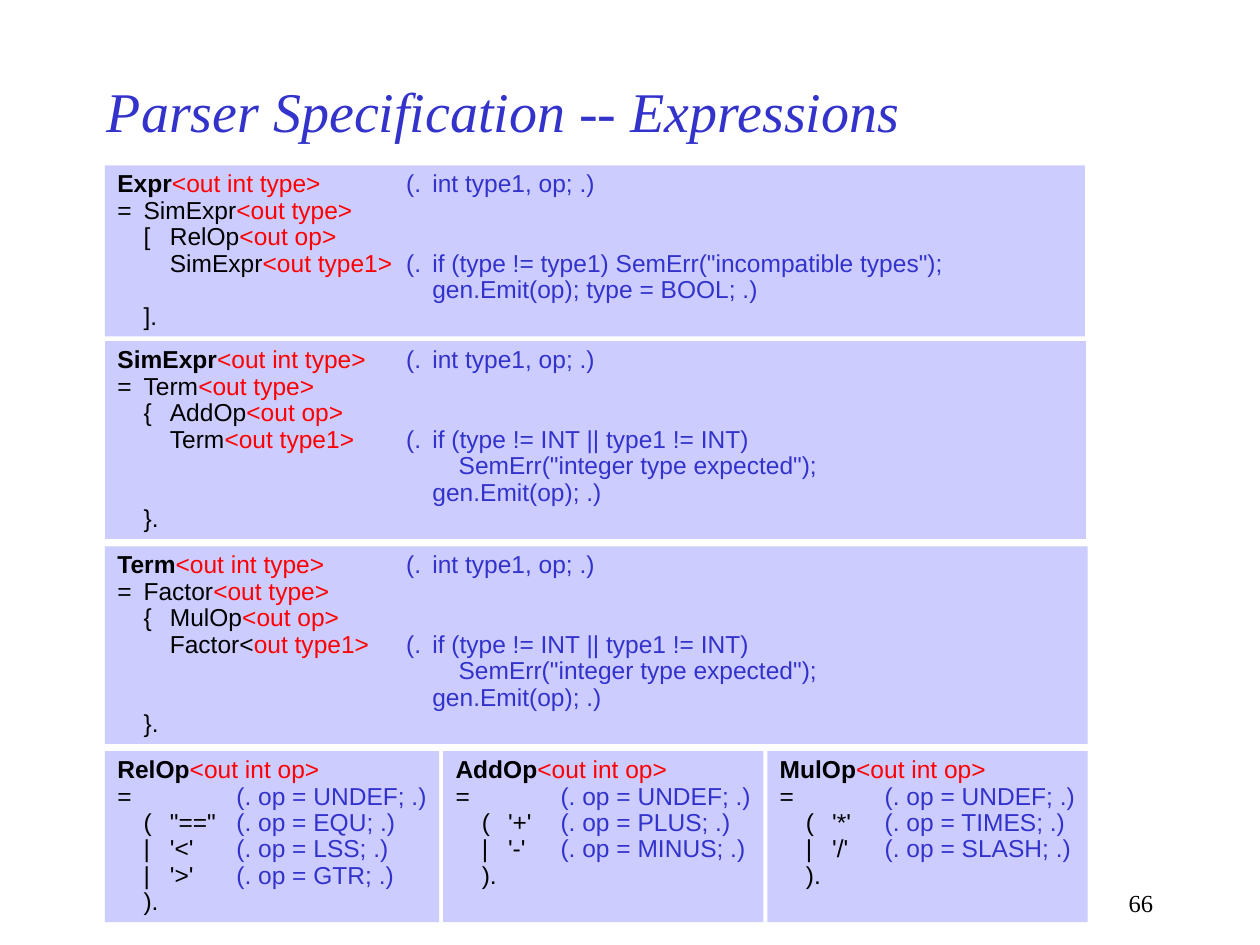
from lxml import etree
from pptx import Presentation
from pptx.dml.color import RGBColor
from pptx.enum.shapes import MSO_SHAPE as Shape
from pptx.enum.text import MSO_ANCHOR as Anchor, PP_ALIGN as Align
from pptx.oxml.ns import qn
from pptx.util import Pt

BLACK = RGBColor(0x00, 0x00, 0x00)
RED = RGBColor(0xFF, 0x00, 0x00)
BLUE = RGBColor(0x33, 0x33, 0xCC)
LAVENDER = RGBColor(0xCC, 0xCC, 0xFF)
COLUMN_COLORS = (BLACK, RED, BLUE)

TITLE = "Parser Specification -- Expressions"
PAGE_NUMBER = "66"

# Each line is (grammar symbols, attributes, semantic action).
DECLARATION = "(.\tint type1, op; .)"
INT_CHECK = "(.\tif (type != INT || type1 != INT)"
INT_CHECK_END = [
    ("", "", "\t\t\t\t\tSemErr(\"integer type expected\");"),
    ("", "", "\t\t\t\tgen.Emit(op); .)"),
    ("\t}.", "", ""),
]
EXPR = [
    ("Expr", "<out int type>\t", DECLARATION),
    ("=\tSimExpr", "<out type>", ""),
    ("\t[\tRelOp", "<out op>", ""),
    ("\t\tSimExpr", "<out type1>\t",
     "(.\tif (type != type1) SemErr(\"incompatible types\");"),
    ("", "", "\t\t\t\tgen.Emit(op); type = BOOL; .)"),
    ("\t].", "", ""),
]
SIM_EXPR = [
    ("SimExpr", "<out int type>\t", DECLARATION),
    ("=\tTerm", "<out type>", ""),
    ("\t{\tAddOp", "<out op>", ""),
    ("\t\tTerm", "<out type1>\t", INT_CHECK),
] + INT_CHECK_END
TERM = [
    ("Term", "<out int type>\t", DECLARATION),
    ("=\tFactor", "<out type>", ""),
    ("\t{\tMulOp", "<out op>", ""),
    ("\t\tFactor<", "out type1>\t", INT_CHECK),
] + INT_CHECK_END

# (top, width, lines)
RULES = [(94.5, 560, EXPR), (195, 560.5, SIM_EXPR), (312.25, 561.5, TERM)]
RULE_TABS = (15, 30, 165, 180, 195)

# (name, width, action tab, [(token, code), ...])
OPERATORS = [
    ("RelOp", 191, 68, [("\"==\"", "EQU"), ("'<'", "LSS"), ("'>'", "GTR")]),
    ("AddOp", 183, 60, [("'+'", "PLUS"), ("'-'", "MINUS")]),
    ("MulOp", 183, 60, [("'*'", "TIMES"), ("'/'", "SLASH")]),
]
LEFT = 60
OPERATOR_TOP = 429.25
OPERATOR_GAP = 2.25
LINE_HEIGHT = 15.1
PADDING = 7.2


def operator_lines(name, choices):
    lines = [(name, "<out int op>", ""), ("=\t\t\t", "", "(. op = UNDEF; .)")]
    for index, (token, code) in enumerate(choices):
        mark = "|" if index else "("
        lines.append((f"\t{mark}\t{token}\t", "", f"(. op = {code}; .)"))
    return lines + [("\t).", "", "")]


def panel_height(line_count):
    return PADDING + line_count * LINE_HEIGHT


def add_tabs(paragraph, positions):
    tab_list = etree.SubElement(paragraph._p.get_or_add_pPr(), qn("a:tabLst"))
    for position in positions:
        etree.SubElement(tab_list, qn("a:tab"), pos=str(Pt(position)), algn="l")


def add_text(paragraph, text, *, size=14, font="Arial", color=BLACK,
             bold=False, italic=False):
    run = paragraph.add_run()
    run.text = text
    run.font.size = Pt(size)
    run.font.name = font
    run.font.color.rgb = color
    run.font.bold = bold
    run.font.italic = italic


def add_panel(slide, left, top, width, height, lines, tabs, wrap=True):
    panel = slide.shapes.add_shape(
        Shape.RECTANGLE, Pt(left), Pt(top), Pt(width), Pt(height))
    panel.shadow.inherit = False
    panel.fill.solid()
    panel.fill.fore_color.rgb = LAVENDER
    panel.line.fill.background()
    frame = panel.text_frame
    frame.word_wrap = wrap
    frame.vertical_anchor = Anchor.TOP
    for index, line in enumerate(lines):
        paragraph = frame.add_paragraph() if index else frame.paragraphs[0]
        paragraph.alignment = Align.LEFT
        paragraph.line_spacing = 0.9
        add_tabs(paragraph, tabs)
        for column, (text, color) in enumerate(zip(line, COLUMN_COLORS)):
            if text:
                add_text(paragraph, text, color=color,
                         bold=index == 0 and column == 0)


def add_label(slide, left, top, width, height, text, align=Align.LEFT,
              anchor=Anchor.TOP, **style):
    box = slide.shapes.add_textbox(Pt(left), Pt(top), Pt(width), Pt(height))
    box.text_frame.word_wrap = True
    box.text_frame.vertical_anchor = anchor
    paragraph = box.text_frame.paragraphs[0]
    paragraph.alignment = align
    add_text(paragraph, text, font="Times New Roman", **style)


def main():
    presentation = Presentation()
    presentation.slide_width = Pt(720)
    presentation.slide_height = Pt(540)
    slide = presentation.slides.add_slide(presentation.slide_layouts[6])

    add_label(slide, 54, 36, 540, 54, TITLE, anchor=Anchor.MIDDLE,
              size=32, color=BLUE, italic=True)

    for top, width, lines in RULES:
        add_panel(slide, LEFT, top, width, panel_height(len(lines)), lines, RULE_TABS)

    panels = [operator_lines(name, choices) for name, _, _, choices in OPERATORS]
    height = panel_height(max(len(lines) for lines in panels))
    left = LEFT
    for (_, width, action_tab, _), lines in zip(OPERATORS, panels):
        add_panel(slide, left, OPERATOR_TOP, width, height, lines,
                  (15, 30, action_tab), wrap=False)
        left += width + OPERATOR_GAP

    add_label(slide, 516, 504, 150, 24, PAGE_NUMBER, align=Align.RIGHT)
    presentation.save("out.pptx")


if __name__ == "__main__":
    main()
